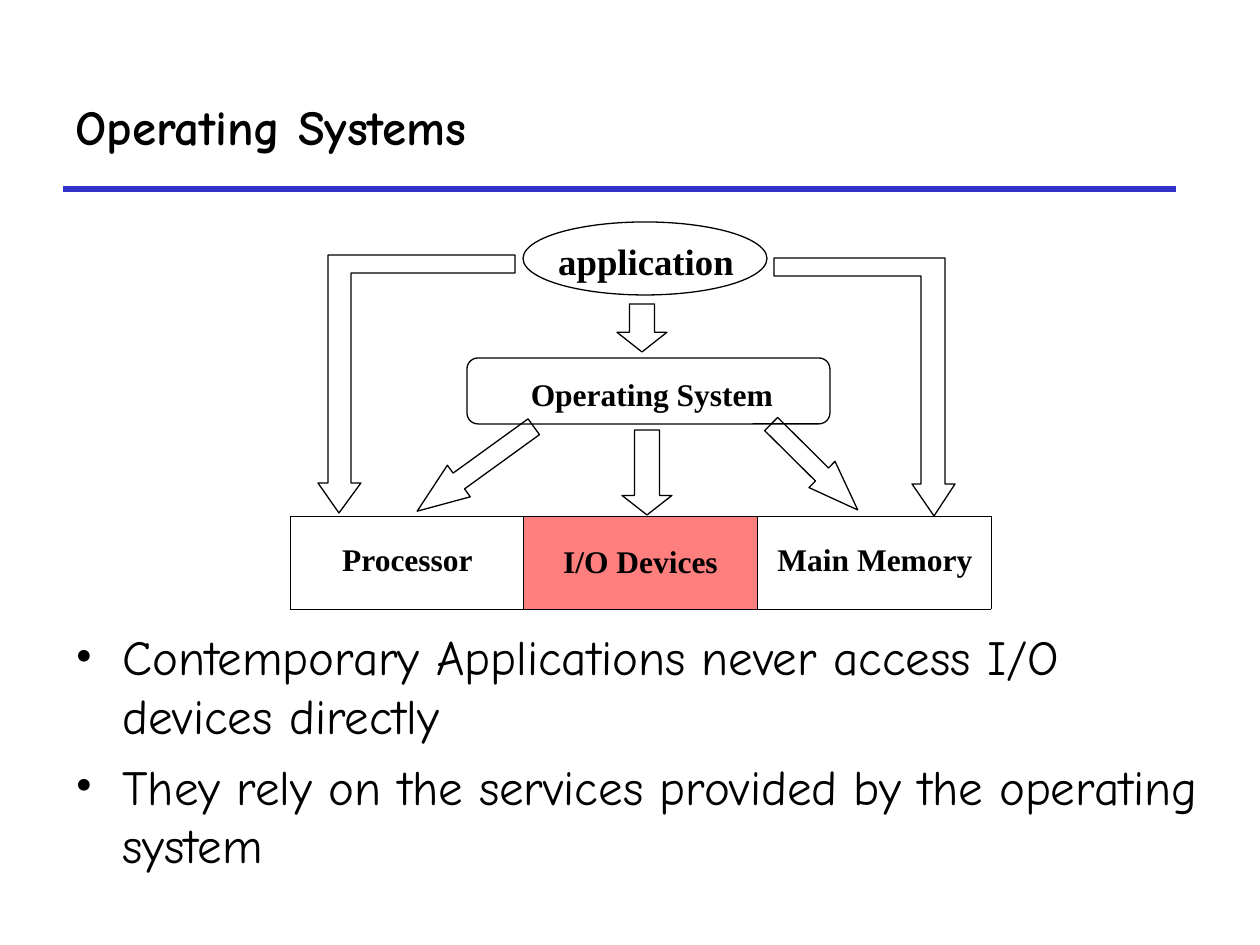
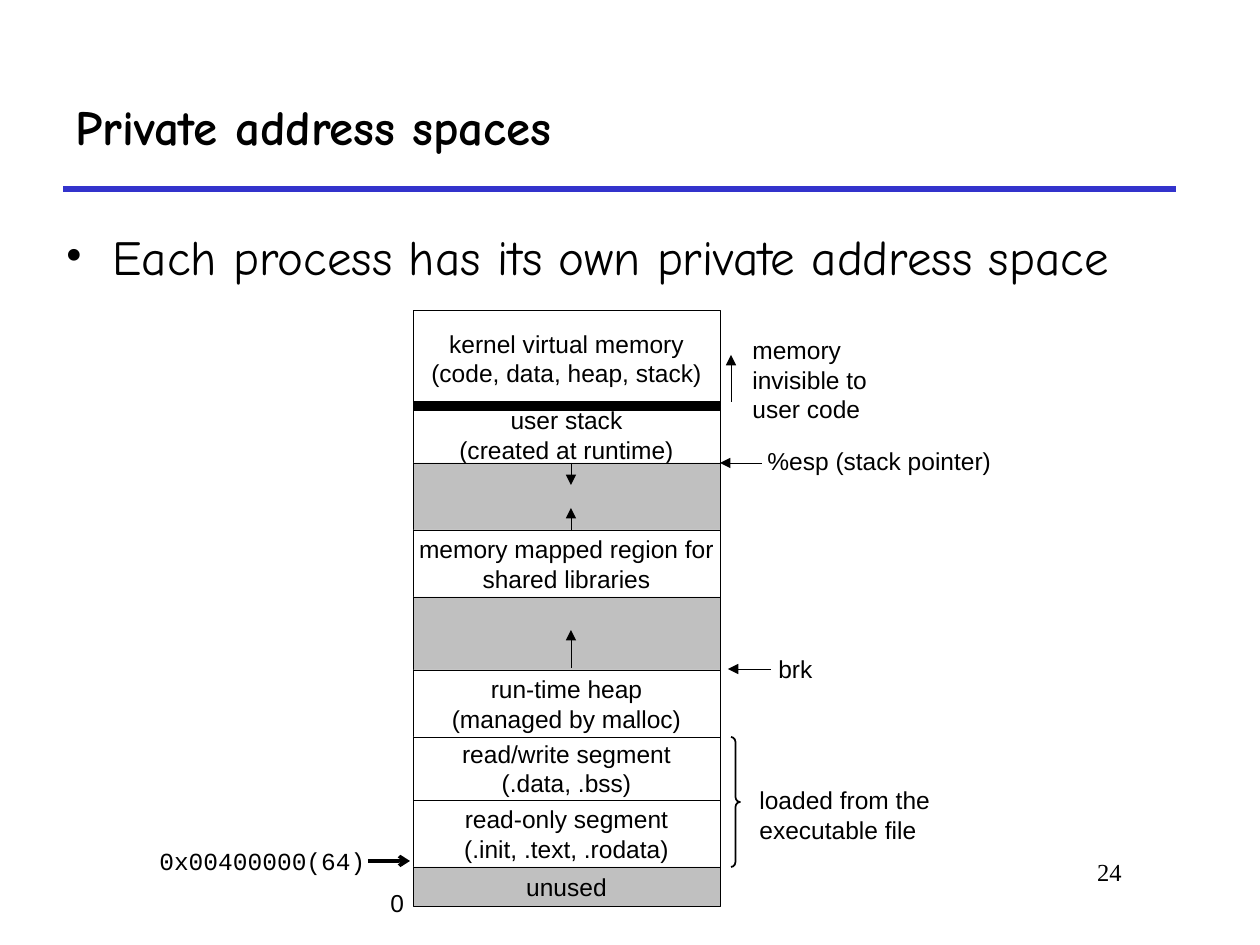
from typing import NamedTuple

import pptx
import pptx.dml.color
import pptx.enum.shapes
import pptx.enum.text
import pptx.oxml
import pptx.oxml.ns
import pptx.util

RGB = pptx.dml.color.RGBColor
BLACK = RGB(0, 0, 0)
WHITE = RGB(255, 255, 255)
GREY = RGB(0xC0, 0xC0, 0xC0)
RED = RGB(255, 0, 0)
BLUE = RGB(0x33, 0x33, 0xCC)

HAND, SERIF, SANS, MONO = "Comic Neue", "Times New Roman", "Arial", "Courier New"
PX = pptx.util.Inches(1) / 126
MSO = pptx.enum.shapes.MSO_SHAPE
ALIGN = pptx.enum.text.PP_ALIGN
ANCHOR = pptx.enum.text.MSO_ANCHOR


class Box(NamedTuple):
    x: int
    y: int
    w: int
    h: int


class Label(NamedTuple):
    text: str
    box: Box
    size: int = 14
    font: str = SANS
    bold: bool = False


class Outline(NamedTuple):
    kind: MSO
    box: Box
    adjustments: tuple = ()
    rotation: float = 0


class Arrow(NamedTuple):
    x1: int
    y1: int
    x2: int
    y2: int
    width: float = 0.25
    head: str = "triangle"


class Region(NamedTuple):
    text: str
    height: int
    fill: RGB = WHITE


def px(*lengths: float) -> list[pptx.util.Emu]:
    return [pptx.util.Emu(round(n * PX)) for n in lengths]


def add_xml(parent, tag: str, content: str = "", **attrs: str) -> None:
    """Append one drawing element, given by its tag, attributes and inner XML."""
    listed = "".join(f' {k}="{v}"' for k, v in attrs.items())
    ns = pptx.oxml.ns.nsdecls("a")
    parent.append(pptx.oxml.parse_xml(f"<a:{tag} {ns}{listed}>{content}</a:{tag}>"))


def write(tf, text: str, *, size: int = 14, font: str = SANS, bold: bool = False,
          align=ALIGN.LEFT, anchor=ANCHOR.TOP, wrap: bool = False,
          bullet: bool = False) -> None:
    """Fill a text frame with one paragraph for each line of text."""
    tf.word_wrap = wrap
    tf.vertical_anchor = anchor
    for i, line in enumerate(text.split("\n")):
        p = tf.add_paragraph() if i else tf.paragraphs[0]
        p.alignment = align
        if bullet:
            if i:
                p.space_before = pptx.util.Pt(7)
            indent = px(47)[0]
            pPr = p._p.get_or_add_pPr()
            pPr.set("marL", str(indent))
            pPr.set("indent", str(-indent))
            add_xml(pPr, "buClr", f'<a:srgbClr val="{BLACK}"/>')
            add_xml(pPr, "buFont", typeface=SERIF)
            add_xml(pPr, "buChar", char="•")
        r = p.add_run()
        r.text = line
        r.font.name, r.font.size, r.font.bold = font, pptx.util.Pt(size), bold
        r.font.color.rgb = BLACK


def add_text(s, text: str, box: Box, **fmt) -> None:
    write(s.shapes.add_textbox(*px(*box)).text_frame, text, **fmt)


def add_label(s, label: Label, **fmt) -> None:
    add_text(s, label.text, label.box, size=label.size, font=label.font,
             bold=label.bold, **fmt)


def style(sp, fill: RGB | None = None, width: float = 0.75) -> None:
    sp.shadow.inherit = False
    if fill is None:
        sp.fill.background()
    else:
        sp.fill.solid()
        sp.fill.fore_color.rgb = fill
    sp.line.color.rgb = BLACK
    sp.line.width = pptx.util.Pt(width)


def add_outline(s, outline: Outline, width: float = 0.75) -> None:
    sp = s.shapes.add_shape(outline.kind, *px(*outline.box))
    for i, value in enumerate(outline.adjustments):
        sp.adjustments[i] = value
    sp.rotation = outline.rotation
    style(sp, width=width)


def add_line(s, arrow: Arrow, color: RGB = BLACK) -> None:
    c = s.shapes.add_connector(pptx.enum.shapes.MSO_CONNECTOR.STRAIGHT, *px(*arrow[:4]))
    c.line.color.rgb = color
    c.line.width = pptx.util.Pt(arrow.width)
    if arrow.head:
        add_xml(c.line._get_or_add_ln(), "tailEnd", type=arrow.head)
    add_xml(c._element.spPr, "effectLst")


def add_titled_slide(prs, title: str):
    s = prs.slides.add_slide(prs.slide_layouts[6])
    add_line(s, Arrow(63, 189, 1176, 189, 3, ""), BLUE)
    add_text(s, title, Box(63, 63, 1113, 126), size=28, font=HAND, bold=True,
             anchor=ANCHOR.MIDDLE, wrap=True)
    return s


def add_hardware_table(s) -> None:
    columns = 3
    table = s.shapes.add_table(1, columns, *px(290, 516, 701, 93)).table
    table.first_row = table.horz_banding = False
    line = f'<a:solidFill><a:srgbClr val="{BLACK}"/></a:solidFill>'
    for i in range(columns):
        cell = table.cell(0, i)
        tcPr = cell._tc.get_or_add_tcPr()
        for side in ("lnL", "lnR", "lnT", "lnB"):
            add_xml(tcPr, side, line, w=str(pptx.util.Pt(0.45)))
        cell.fill.background()
    cell = table.cell(0, 1)
    cell.fill.solid()
    cell.fill.fore_color.rgb = RED
    color = cell._tc.tcPr.find(pptx.oxml.ns.qn("a:solidFill"))[0]
    add_xml(color, "alpha", val="50000")
    cell.vertical_anchor = ANCHOR.MIDDLE
    write(cell.text_frame, "I/O Devices", size=18, font=SERIF, bold=True,
          align=ALIGN.CENTER, anchor=ANCHOR.MIDDLE, wrap=True)


def add_bypass_arrow(s, points: list[tuple[int, int]]) -> None:
    """Draw the bent arrow that goes round the operating system."""
    builder = s.shapes.build_freeform(*points[0], scale=PX)
    builder.add_line_segments(points[1:], close=True)
    style(builder.convert_to_shape())


def build_operating_systems(prs) -> None:
    s = add_titled_slide(prs, "Operating Systems")
    add_hardware_table(s)
    for outline in (
        Outline(MSO.OVAL, Box(523, 222, 244, 73)),
        Outline(MSO.ROUNDED_RECTANGLE, Box(467, 358, 363, 66), (0.167,)),
        Outline(MSO.DOWN_ARROW, Box(456, 397, 39, 144), (0.5, 1.32), 54.1),
        Outline(MSO.DOWN_ARROW, Box(622, 430, 50, 85), (0.5, 0.39)),
        Outline(MSO.DOWN_ARROW, Box(796, 406, 37, 122), (0.5, 1.36), 314.8),
        Outline(MSO.DOWN_ARROW, Box(617, 304, 50, 48), (0.5, 0.41)),
    ):
        add_outline(s, outline)
    add_bypass_arrow(s, [(515, 273), (351, 273), (351, 483), (361, 483), (339, 513),
                         (318, 483), (328, 483), (328, 255), (515, 255)])
    add_bypass_arrow(s, [(774, 276), (921, 276), (921, 484), (912, 484), (934, 516),
                         (955, 484), (945, 484), (945, 258), (774, 258)])
    for label in (
        Label("Processor", Box(309, 534, 197, 50), 18, SERIF, True),
        Label("Main Memory", Box(752, 534, 246, 50), 18, SERIF, True),
        Label("application", Box(531, 233, 230, 57), 21, SERIF, True),
        Label("Operating System", Box(502, 369, 300, 50), 18, SERIF, True),
    ):
        add_label(s, label, align=ALIGN.CENTER)
    add_text(s, "Contemporary Applications never access I/O devices directly\n"
             "They rely on the services provided by the operating system",
             Box(63, 620, 1155, 281), size=28, font=HAND, wrap=True, bullet=True)


def add_address_space(s) -> None:
    """Stack the memory regions from the highest address down."""
    y = 310
    for region in (
        Region("kernel virtual memory\n(code, data, heap, stack)", 96),
        Region("user stack\n(created at runtime)", 57),
        Region("", 67, GREY),
        Region("memory mapped region for\nshared libraries", 67),
        Region("", 73, GREY),
        Region("run-time heap\n(managed by malloc)", 67),
        Region("read/write segment\n(.data, .bss)", 63),
        Region("read-only segment\n(.init, .text, .rodata)", 67),
        Region("unused", 39, GREY),
    ):
        sp = s.shapes.add_shape(MSO.RECTANGLE, *px(413, y, 307, region.height))
        style(sp, region.fill, 0.25)
        if region.text:
            write(sp.text_frame, region.text, align=ALIGN.CENTER, anchor=ANCHOR.MIDDLE)
        y += region.height


def build_private_address_spaces(prs) -> None:
    s = add_titled_slide(prs, "Private address spaces")
    add_text(s, "24", Box(955, 851, 179, 63), font=SERIF, align=ALIGN.RIGHT, wrap=True)
    add_text(s, "Each process has its own private address space",
             Box(53, 220, 1166, 73), size=28, font=HAND, wrap=True, bullet=True)
    add_address_space(s)
    for arrow in (
        Arrow(571, 668, 571, 630),
        Arrow(571, 531, 571, 508),
        Arrow(571, 463, 571, 485),
        Arrow(762, 463, 720, 463),
        Arrow(731, 402, 731, 355),
        Arrow(771, 669, 728, 669),
        Arrow(413, 406, 720, 406, 6, ""),
        Arrow(368, 861, 410, 861, 2, "arrow"),
    ):
        add_line(s, arrow)
    add_outline(s, Outline(MSO.RIGHT_BRACE, Box(731, 737, 9, 130), (0.57, 0.5)), 1)
    for label in (
        Label("0", Box(378, 882, 45, 43)),
        Label("%esp (stack pointer)", Box(755, 440, 290, 43)),
        Label("memory\ninvisible to\nuser code", Box(740, 329, 160, 101)),
        Label("brk", Box(766, 648, 75, 43)),
        Label("loaded from the\nexecutable file", Box(747, 779, 230, 72)),
        Label("0x00400000(64)", Box(147, 840, 250, 43), font=MONO),
    ):
        add_label(s, label)


def main() -> None:
    prs = pptx.Presentation()
    prs.slide_width, prs.slide_height = px(1260, 945)
    build_operating_systems(prs)
    build_private_address_spaces(prs)
    prs.save("out.pptx")


if __name__ == "__main__":
    main()
